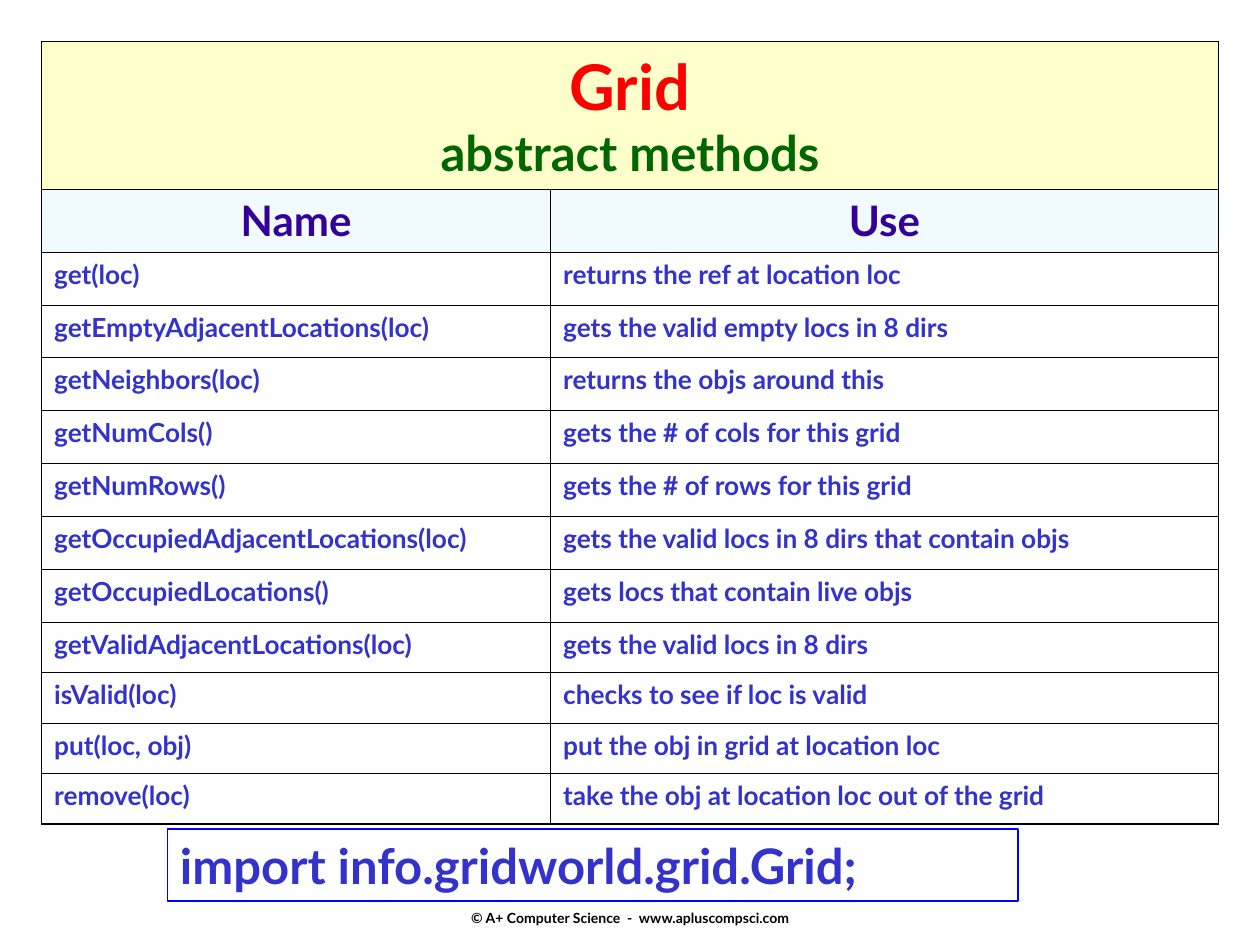
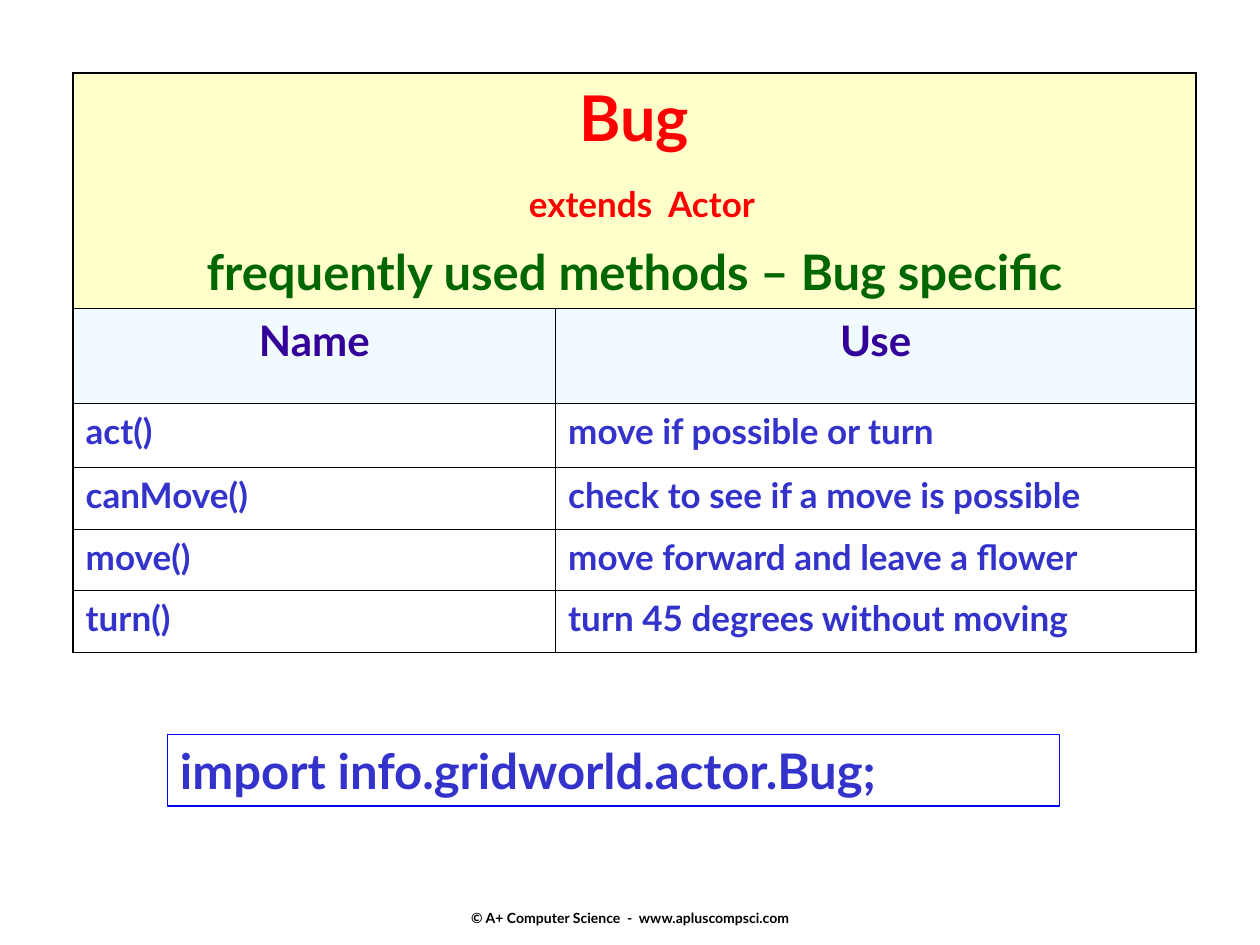
from lxml import etree
from pptx import Presentation
from pptx.dml.color import RGBColor
from pptx.enum.shapes import MSO_SHAPE as Shape
from pptx.enum.text import MSO_ANCHOR as Anchor, PP_ALIGN as Align
from pptx.oxml.ns import qn
from pptx.util import Inches, Pt

FONT = "Lato"
FOOTER = "© A+ Computer Science  -  www.apluscompsci.com"
COLORS = {
    "title": "FF0000", "subtitle": "006600", "heading": "330099", "body": "3333CC",
    "footer": "000000", "title_fill": "FFFFCC", "heading_fill": "F0FAFF",
    "border": "000000", "box_line": "0000FF",
}
OUTER_LINE, INNER_LINE = 1.08, 0.45
HEADINGS = ("Name", "Use")

CLASSES = [
    {
        "title": [
            ("Grid", 36, "title", {}),
            ("abstract methods", 28, "subtitle", {}),
        ],
        "methods": [
            ("get(loc)", "returns the ref at location loc"),
            ("getEmptyAdjacentLocations(loc)", "gets the valid empty locs in 8 dirs"),
            ("getNeighbors(loc)", "returns the objs around this"),
            ("getNumCols()", "gets the # of cols for this grid"),
            ("getNumRows()", "gets the # of rows for this grid"),
            ("getOccupiedAdjacentLocations(loc)", "gets the valid locs in 8 dirs that contain objs"),
            ("getOccupiedLocations()", "gets locs that contain live objs"),
            ("getValidAdjacentLocations(loc)", "gets the valid locs in 8 dirs"),
            ("isValid(loc)", "checks to see if loc is valid"),
            ("put(loc, obj)", "put the obj in grid at location loc"),
            ("remove(loc)", "take the obj at location loc out of the grid"),
        ],
        "body_size": 15,
        "origin": (0.33, 0.33),
        "columns": (4.04, 5.3),
        "rows": [1.17, 0.5] + [0.42] * 7 + [0.4] * 4,
        "import": "import info.gridworld.grid.Grid;",
        "import_box": (1.33, 6.58, 6.75, 0.57),
    },
    {
        "title": [
            ("Bug", 36, "title", {}),
            ("extends  Actor", 20, "title",
             {"space_before": Pt(16), "space_after": Pt(3), "left": Inches(0.12)}),
            ("frequently used methods – Bug specific", 28, "subtitle", {"space_before": Pt(7)}),
        ],
        "methods": [
            ("act()", "move if possible or turn"),
            ("canMove()", "check to see if a move is possible"),
            ("move()", "move forward and leave a flower"),
            ("turn()", "turn 45 degrees without moving"),
        ],
        "body_size": 20,
        "origin": (0.58, 0.58),
        "columns": (3.83, 5.08),
        "rows": [1.87, 0.75, 0.51] + [0.49] * 3,
        "import": "import info.gridworld.actor.Bug;",
        "import_box": (1.33, 5.83, 7.08, 0.57),
    },
]


def color(name):
    return RGBColor.from_string(COLORS[name])


def write(frame, lines, align):
    for index, (text, size, color_name, spacing) in enumerate(lines):
        paragraph = frame.paragraphs[0] if index == 0 else frame.add_paragraph()
        paragraph.alignment = align
        for name, value in spacing.items():
            if name == "left":
                paragraph._p.get_or_add_pPr().set("marL", str(value))
            else:
                setattr(paragraph, name, value)
        run = paragraph.add_run()
        run.text = text
        for name, value in {"name": FONT, "size": Pt(size), "bold": True}.items():
            setattr(run.font, name, value)
        run.font.color.rgb = color(color_name)


def set_borders(cell, widths):
    properties = cell._tc.get_or_add_tcPr()
    for side, width in widths.items():
        line = etree.SubElement(properties, qn(f"a:ln{side}"), w=str(Pt(width)))
        fill = etree.SubElement(line, qn("a:solidFill"))
        etree.SubElement(fill, qn("a:srgbClr"), val=COLORS["border"])


def set_fill(cell, color_name):
    if color_name:
        cell.fill.solid()
        cell.fill.fore_color.rgb = color(color_name)
    else:
        cell.fill.background()


def add_method_table(slide, details):
    columns, rows = details["columns"], details["rows"]
    box = (*details["origin"], sum(columns), sum(rows))
    table = slide.shapes.add_table(len(rows), len(columns), *map(Inches, box)).table
    table.first_row = table.horz_banding = False
    for column, width in zip(table.columns, columns):
        column.width = Inches(width)
    for row, height in zip(table.rows, rows):
        row.height = Inches(height)

    last_row, last_column = len(rows) - 1, len(columns) - 1
    fills = {0: "title_fill", 1: "heading_fill"}
    for r in range(len(rows)):
        for c in range(len(columns)):
            cell = table.cell(r, c)
            edges = {"L": c == 0, "R": c == last_column or r == 0,
                     "T": r == 0, "B": r == last_row}
            set_borders(cell, {side: OUTER_LINE if outer else INNER_LINE
                               for side, outer in edges.items()})
            set_fill(cell, fills.get(r))

    title_cell = table.cell(0, 0)
    title_cell.merge(table.cell(0, last_column))
    write(title_cell.text_frame, details["title"], Align.CENTER)
    for r, texts in enumerate([HEADINGS] + details["methods"], start=1):
        size, color_name, align = ((24, "heading", Align.CENTER) if r == 1
                                   else (details["body_size"], "body", Align.LEFT))
        for c, text in enumerate(texts):
            write(table.cell(r, c).text_frame, [(text, size, color_name, {})], align)


def add_import_box(slide, details):
    shape = slide.shapes.add_shape(Shape.RECTANGLE, *map(Inches, details["import_box"]))
    shape.shadow.inherit = False
    shape.fill.background()
    shape.line.color.rgb = color("box_line")
    shape.line.width = Pt(1)
    shape.text_frame.vertical_anchor = Anchor.TOP
    write(shape.text_frame, [(details["import"], 28, "body", {})], Align.LEFT)


def add_footer(slide):
    box = slide.shapes.add_textbox(*map(Inches, (3.42, 7.16, 3.17, 0.25)))
    box.text_frame.vertical_anchor = Anchor.MIDDLE
    box.text_frame.word_wrap = False
    write(box.text_frame, [(FOOTER, 8, "footer", {})], Align.CENTER)


def main():
    presentation = Presentation()
    presentation.slide_width, presentation.slide_height = Inches(10), Inches(7.5)
    for details in CLASSES:
        slide = presentation.slides.add_slide(presentation.slide_layouts[6])
        add_footer(slide)
        add_method_table(slide, details)
        add_import_box(slide, details)
    presentation.save("out.pptx")


if __name__ == "__main__":
    main()
